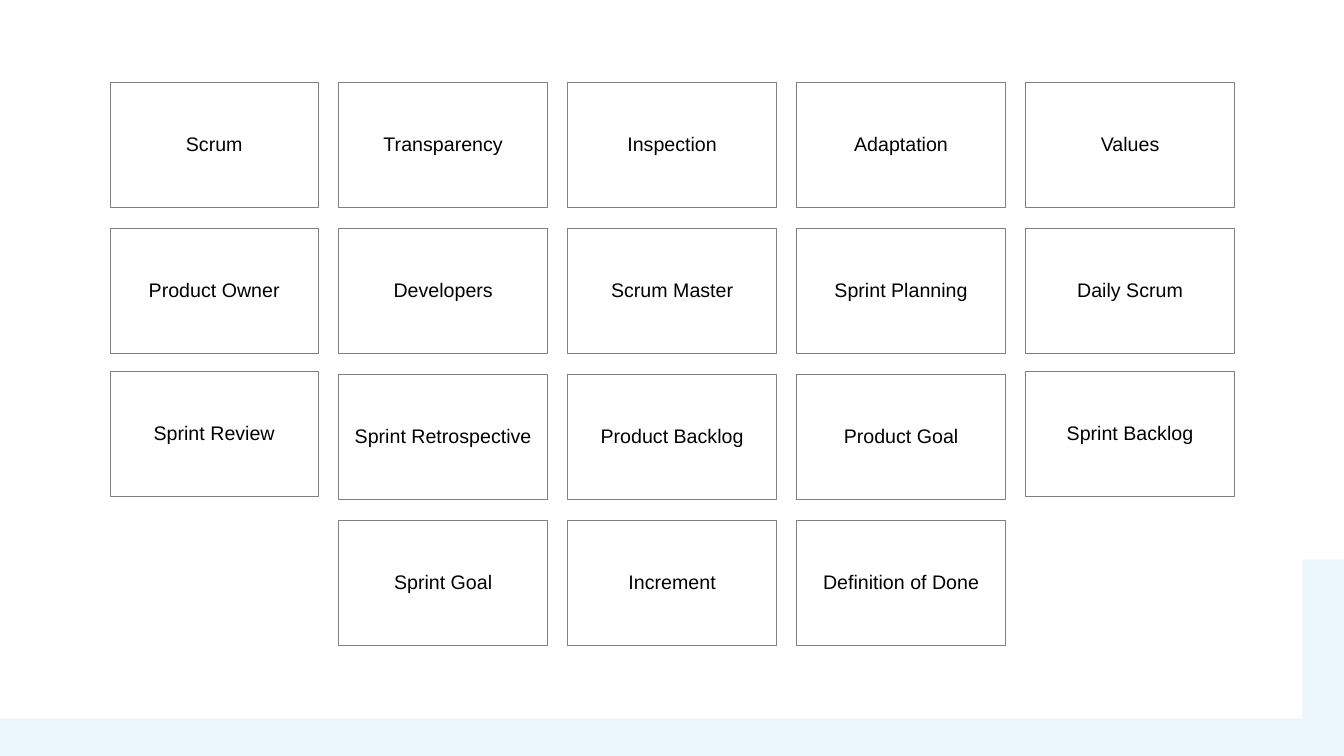
from dataclasses import dataclass

from pptx import Presentation
from pptx.dml.color import RGBColor
from pptx.enum.shapes import MSO_SHAPE
from pptx.enum.text import MSO_ANCHOR, PP_ALIGN
from pptx.shapes.autoshape import Shape
from pptx.slide import Slide
from pptx.util import Cm, Pt

RECTANGLE = MSO_SHAPE.RECTANGLE
MIDDLE = MSO_ANCHOR.MIDDLE
CENTER = PP_ALIGN.CENTER

WHITE = RGBColor(0xFF, 0xFF, 0xFF)
BLACK = RGBColor(0x00, 0x00, 0x00)
GREY = RGBColor(0x80, 0x80, 0x80)
PALE_BLUE = RGBColor(0xEA, 0xF6, 0xFC)

# Card grid, in centimetres
GRID_LEFT, GRID_TOP = 2.77, 2.08
COLUMN_PITCH, ROW_PITCH = 5.77, 3.68
CARD_WIDTH, CARD_HEIGHT = 5.26, 3.15
CARD_INSET = 0.23


@dataclass(frozen=True)
class Band:
    left: float
    top: float
    width: float
    height: float


@dataclass(frozen=True)
class Card:
    term: str
    column: int
    row: int
    lift: float = 0


BANDS = [
    Band(32.82, 14.1, 1.05, 4.95),
    Band(0, 18.11, 33.87, 0.94),
]

CARDS = [
    Card("Scrum", 0, 0),
    Card("Transparency", 1, 0),
    Card("Inspection", 2, 0),
    Card("Adaptation", 3, 0),
    Card("Values", 4, 0),
    Card("Product Owner", 0, 1),
    Card("Developers", 1, 1),
    Card("Scrum Master", 2, 1),
    Card("Sprint Planning", 3, 1),
    Card("Daily Scrum", 4, 1),
    Card("Sprint Review", 0, 2, lift=0.08),
    Card("Sprint Retrospective", 1, 2),
    Card("Product Backlog", 2, 2),
    Card("Product Goal", 3, 2),
    Card("Sprint Backlog", 4, 2, lift=0.08),
    Card("Sprint Goal", 1, 3),
    Card("Increment", 2, 3),
    Card("Definition of Done", 3, 3),
]


def add_rectangle(slide: Slide, left: float, top: float, width: float, height: float,
                  fill: RGBColor, line: RGBColor | None = None) -> Shape:
    shape = slide.shapes.add_shape(RECTANGLE, Cm(left), Cm(top), Cm(width), Cm(height))
    shape.shadow.inherit = False
    shape.fill.solid()
    shape.fill.fore_color.rgb = fill
    if line is None:
        shape.line.fill.background()
    else:
        shape.line.color.rgb = line
        shape.line.width = Pt(0.5)
    return shape


def write_text(shape: Shape, text: str, *, size: float = 14, font: str = "Arial",
               color: RGBColor = BLACK, inset: float = CARD_INSET) -> None:
    frame = shape.text_frame
    frame.word_wrap = True
    frame.vertical_anchor = MIDDLE
    frame.margin_left = frame.margin_right = Cm(inset)
    frame.margin_top = frame.margin_bottom = Cm(inset)
    paragraph = frame.paragraphs[0]
    paragraph.alignment = CENTER
    paragraph.line_spacing = 0.9
    paragraph.space_after = Pt(size * 0.35)
    run = paragraph.add_run()
    run.text = text
    run.font.size = Pt(size)
    run.font.name = font
    run.font.color.rgb = color


def draw_band(slide: Slide, band: Band) -> None:
    add_rectangle(slide, band.left, band.top, band.width, band.height, PALE_BLUE)


def draw_card(slide: Slide, card: Card) -> None:
    left = GRID_LEFT + card.column * COLUMN_PITCH
    top = GRID_TOP + card.row * ROW_PITCH - card.lift
    shape = add_rectangle(slide, left, top, CARD_WIDTH, CARD_HEIGHT, WHITE, GREY)
    write_text(shape, card.term)


def main() -> None:
    presentation = Presentation()
    presentation.slide_width = Cm(33.87)
    presentation.slide_height = Cm(19.05)
    slide = presentation.slides.add_slide(presentation.slide_layouts[6])

    # Corner decoration
    for band in BANDS:
        draw_band(slide, band)

    # Scrum terms
    for card in CARDS:
        draw_card(slide, card)

    presentation.save("out.pptx")


if __name__ == "__main__":
    main()
